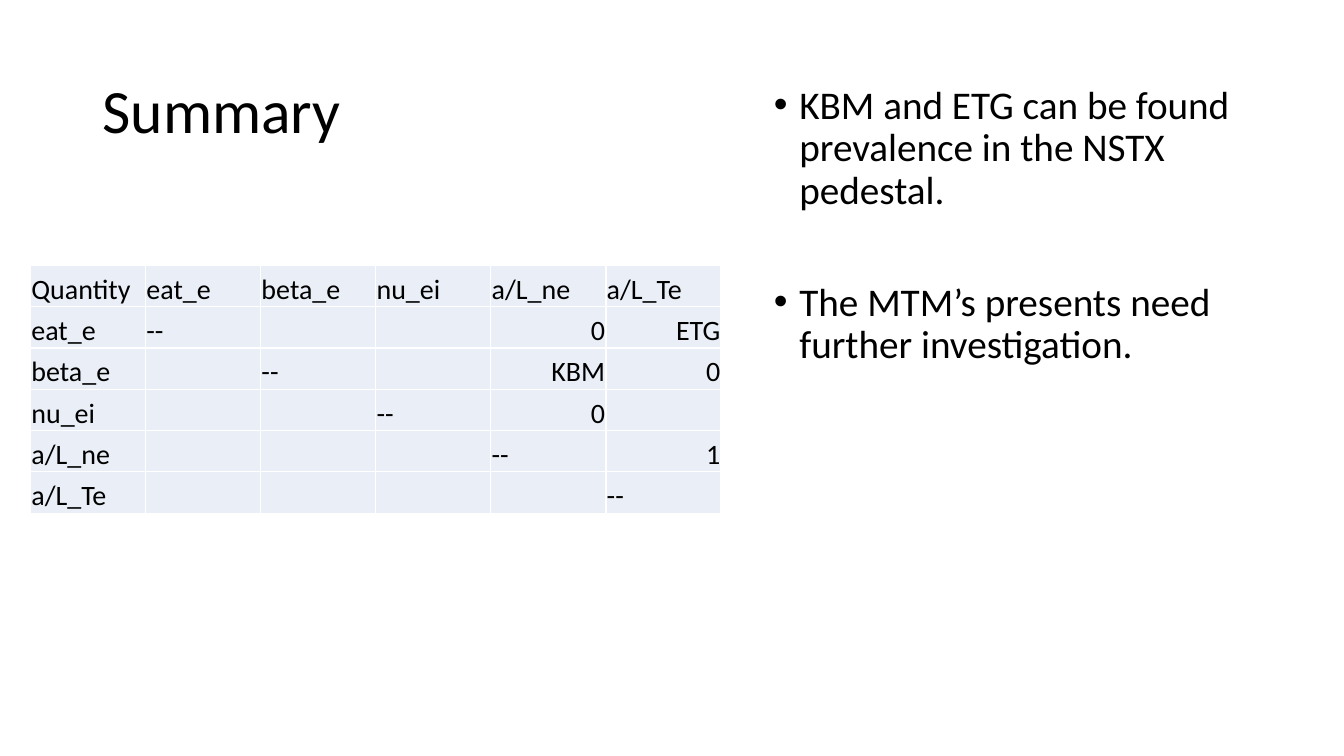
"""Build the summary slide with its table of dominant modes."""
from dataclasses import dataclass

from lxml import etree
from pptx import Presentation
from pptx.dml.color import RGBColor
from pptx.enum.text import MSO_ANCHOR, MSO_AUTO_SIZE, PP_ALIGN
from pptx.oxml.ns import qn
from pptx.util import Cm, Pt

LEFT, RIGHT = PP_ALIGN.LEFT, PP_ALIGN.RIGHT
TOP, MIDDLE, BOTTOM = MSO_ANCHOR.TOP, MSO_ANCHOR.MIDDLE, MSO_ANCHOR.BOTTOM
NO_AUTOFIT = MSO_AUTO_SIZE.NONE
FONT = "Calibri"
COLORS = {"text": "000000", "cell": "EAEFF7", "border": "FFFFFF"}
COLUMN_WIDTH, ROW_HEIGHT = Cm(2.9), Cm(1.04)


@dataclass(frozen=True)
class Frame:
    left: float
    top: float
    width: float
    height: float


@dataclass(frozen=True)
class QuantityRow:
    quantity: str
    modes: tuple[str, ...]


QUANTITY_ROWS = [
    QuantityRow("Quantity", ("eat_e", "beta_e", "nu_ei", "a/L_ne", "a/L_Te")),
    QuantityRow("eat_e", ("--", "", "", "0", "ETG")),
    QuantityRow("beta_e", ("", "--", "", "KBM", "0")),
    QuantityRow("nu_ei", ("", "", "--", "0", "")),
    QuantityRow("a/L_ne", ("", "", "", "--", "1")),
    QuantityRow("a/L_Te", ("", "", "", "", "--")),
]
FINDINGS = [
    "KBM and ETG can be found prevalence in the NSTX pedestal.",
    "The MTM’s presents need further investigation.",
]


def format_runs(paragraph, size: float) -> None:
    for run in paragraph.runs:
        run.font.name = FONT
        run.font.size = Pt(size)
        run.font.color.rgb = RGBColor.from_string(COLORS["text"])


def fill_placeholder(placeholder, frame: Frame, text: str, size: float, anchor) -> None:
    placeholder.left, placeholder.top = Cm(frame.left), Cm(frame.top)
    placeholder.width, placeholder.height = Cm(frame.width), Cm(frame.height)
    text_frame = placeholder.text_frame
    text_frame.text = text
    text_frame.word_wrap = True
    text_frame.auto_size = NO_AUTOFIT
    text_frame.vertical_anchor = anchor
    for paragraph in text_frame.paragraphs:
        paragraph.alignment = LEFT
        paragraph.line_spacing = 0.9
        paragraph.space_before = Pt(0)
        format_runs(paragraph, size)


def add_bullet(paragraph) -> None:
    properties = paragraph._p.get_or_add_pPr()
    properties.set("marL", str(Cm(0.64)))
    properties.set("indent", str(Cm(-0.64)))
    etree.SubElement(properties, qn("a:buFont"), typeface="Arial")
    etree.SubElement(properties, qn("a:buChar"), char="•")


def add_borders(cell) -> None:
    properties = cell._tc.get_or_add_tcPr()
    for side in ("lnL", "lnR", "lnT", "lnB"):
        border = etree.SubElement(properties, qn(f"a:{side}"), w=str(Pt(1)))
        border_fill = etree.SubElement(border, qn("a:solidFill"))
        etree.SubElement(border_fill, qn("a:srgbClr"), val=COLORS["border"])


def format_cell(cell, text: str, alignment) -> None:
    cell.margin_left = cell.margin_right = cell.margin_top = Cm(0.02)
    cell.margin_bottom = Cm(0)
    cell.vertical_anchor = BOTTOM
    add_borders(cell)
    cell.fill.solid()
    cell.fill.fore_color.rgb = RGBColor.from_string(COLORS["cell"])
    cell.text_frame.text = text
    paragraph = cell.text_frame.paragraphs[0]
    paragraph.alignment = alignment
    format_runs(paragraph, 20)


def add_mode_table(slide, rows: list[QuantityRow]) -> None:
    row_count, column_count = len(rows), len(rows[0].modes) + 1
    mode_table = slide.shapes.add_table(
        row_count, column_count, Cm(0.77), Cm(6.69),
        COLUMN_WIDTH * column_count, ROW_HEIGHT * row_count,
    ).table
    mode_table.first_row = mode_table.horz_banding = False
    for column in mode_table.columns:
        column.width = COLUMN_WIDTH
    for row_index, row in enumerate(rows):
        mode_table.rows[row_index].height = ROW_HEIGHT
        for column_index, text in enumerate((row.quantity, *row.modes)):
            alignment = RIGHT if column_index > row_index > 0 else LEFT
            format_cell(mode_table.cell(row_index, column_index), text, alignment)


def main() -> None:
    presentation = Presentation()
    presentation.slide_width, presentation.slide_height = Cm(33.87), Cm(19.05)
    slide = presentation.slides.add_slide(presentation.slide_layouts[1])
    title, findings = slide.placeholders
    fill_placeholder(title, Frame(2.33, 1.01, 29.21, 3.68), "Summary", 44, MIDDLE)
    fill_placeholder(
        findings, Frame(19.25, 2.03, 12.62, 15.04), "\n".join(FINDINGS), 28, TOP
    )
    for paragraph in findings.text_frame.paragraphs:
        add_bullet(paragraph)
    findings.text_frame.paragraphs[1].space_before = Pt(50)
    add_mode_table(slide, QUANTITY_ROWS)
    presentation.save("out.pptx")


if __name__ == "__main__":
    main()
